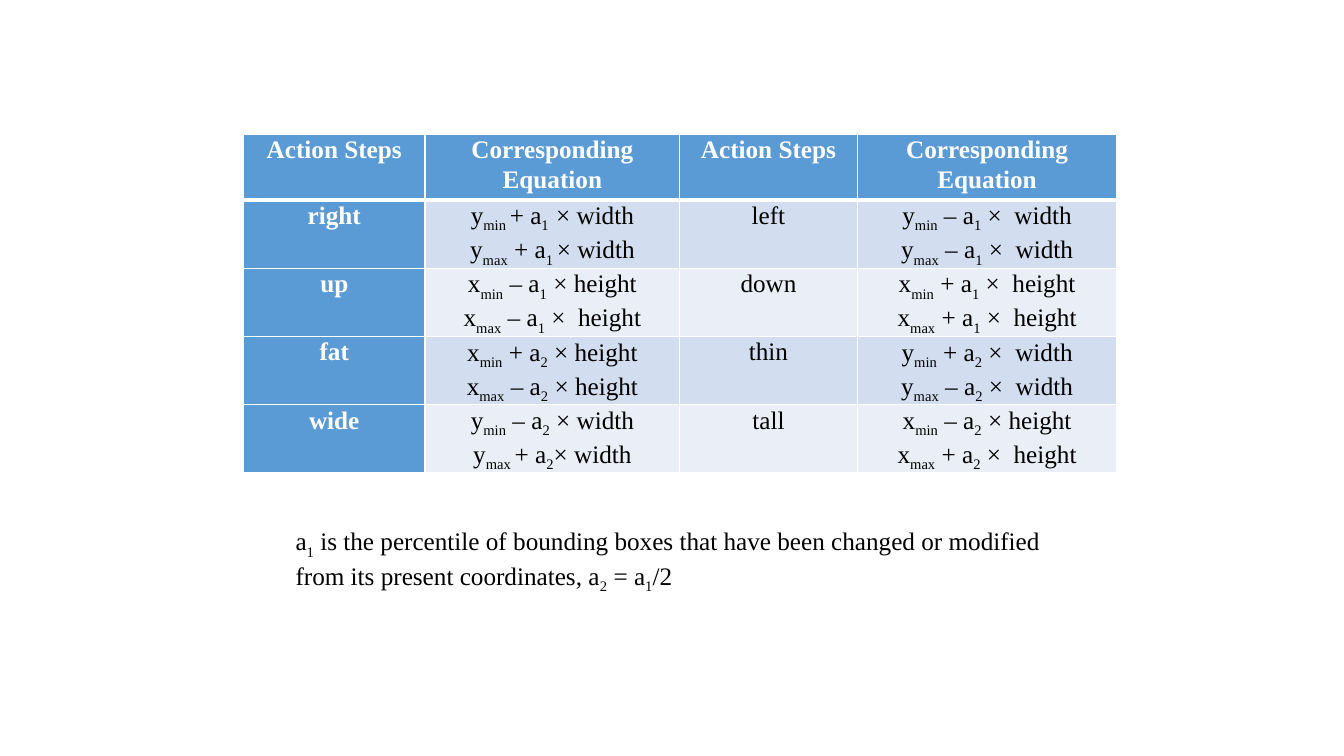
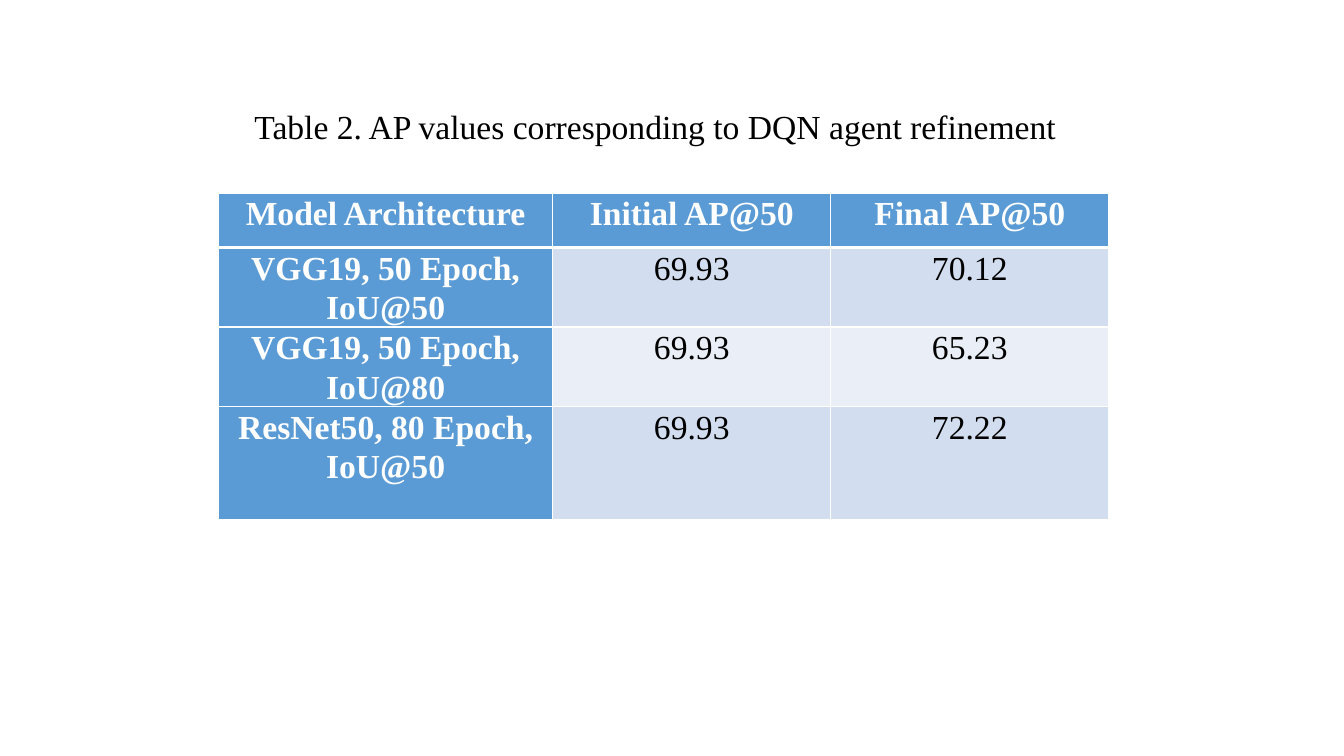
from dataclasses import dataclass

from lxml.etree import SubElement
from pptx import Presentation
from pptx.dml.color import RGBColor as Color
from pptx.enum.text import MSO_ANCHOR as Anchor, MSO_AUTO_SIZE as AutoSize, PP_ALIGN as Align
from pptx.oxml.ns import qn
from pptx.util import Inches, Pt


@dataclass(frozen=True)
class Theme:
    font: str = "Times New Roman"
    header: str = "5B9BD5"
    bands: tuple = ("D2DEEF", "EAEFF7")
    light: str = "FFFFFF"
    dark: str = "000000"
    body_size: int = 18
    large_size: int = 24
    thin: int = 1
    thick: int = 3


theme = Theme()

# The slide is a grid of 160 columns and 90 rows, each a twelfth of an inch
UNIT = Inches(1) // 12
COLUMNS, ROWS = 160, 90


def write_text(text_frame, text, size, color=theme.dark, bold=False,
               align=Align.LEFT, line_spacing=None, space_before=None):
    """Write one paragraph per line; text between bars is subscript."""
    for index, line in enumerate(text.split("\n")):
        paragraph = text_frame.add_paragraph() if index else text_frame.paragraphs[0]
        paragraph.alignment = align
        paragraph.line_spacing = line_spacing
        paragraph.space_before = space_before
        paragraph.font.name = theme.font
        paragraph.font.size = Pt(size)
        paragraph.font.bold = bold
        paragraph.font.color.rgb = Color.from_string(color)
        for part, words in enumerate(line.split("|")):
            run = paragraph.add_run()
            run.text = words
            if part % 2:
                run._r.get_or_add_rPr().set("baseline", "-25000")


def add_banded_table(slide, rows, box, weights, heights, size, space_before=None):
    """Add a table with a coloured header row and first column."""
    left, top, width, height = (UNIT * length for length in box)
    table = slide.shapes.add_table(len(rows), len(weights), left, top, width, height).table
    table.first_col = True
    for column, weight in zip(table.columns, weights):
        column.width = int(width * weight / sum(weights))
    for row, row_height in zip(table.rows, heights):
        row.height = Inches(row_height)

    for row_index, texts in enumerate(rows):
        for column_index, text in enumerate(texts):
            cell = table.cell(row_index, column_index)
            cell.margin_left = cell.margin_right = Inches(0.07)
            cell.margin_top = cell.margin_bottom = 0

            # White rules, thick below the header
            borders = {"L": theme.thin, "R": theme.thin,
                       "T": theme.thick if row_index == 1 else theme.thin,
                       "B": theme.thick if row_index == 0 else theme.thin}
            for side, points in borders.items():
                line = SubElement(cell._tc.get_or_add_tcPr(), qn(f"a:ln{side}"), w=str(Pt(points)))
                SubElement(SubElement(line, qn("a:solidFill")), qn("a:srgbClr"), val=theme.light)

            is_header = row_index == 0 or column_index == 0
            fill = theme.header if is_header else theme.bands[(row_index - 1) % 2]
            cell.fill.solid()
            cell.fill.fore_color.rgb = Color.from_string(fill)
            write_text(cell.text_frame, text, size, theme.light if is_header else theme.dark,
                       is_header, Align.CENTER, 1.07, space_before)


presentation = Presentation()
presentation.slide_width = UNIT * COLUMNS
presentation.slide_height = UNIT * ROWS
title_only, blank = presentation.slide_layouts[5], presentation.slide_layouts[6]

# Slide 1: action steps and their equations
slide = presentation.slides.add_slide(blank)
action_rows = [
    ["Action Steps", "Corresponding Equation"] * 2,
    ["right", "y|min |+ a|1  |× width\ny|max| + a|1 |× width",
     "left", "y|min| – a|1| ×  width\ny|max| – a|1| ×  width"],
    ["up", "x|min| – a|1| × height\nx|max| – a|1| ×  height",
     "down", "x|min| + a|1| ×  height\nx|max| + a|1| ×  height"],
    ["fat", "x|min| + a|2| × height\nx|max| – a|2| × height",
     "thin", "y|min| + a|2| ×  width\ny|max| – a|2| ×  width"],
    ["wide", "y|min| – a|2| × width\ny|max |+ a|2|× width",
     "tall", "x|min| – a|2| × height\nx|max| + a|2| ×  height"],
]
add_banded_table(slide, action_rows, (29, 16, 104, 39), (1.8, 2.53, 1.76, 2.58),
                 [0.65] * len(action_rows), theme.body_size)

# Note under the table
note = slide.shapes.add_textbox(UNIT * 34, UNIT * 62, UNIT * 94, Inches(0.71))
note.text_frame.word_wrap = True
write_text(note.text_frame,
           "a|1| is the percentile of bounding boxes that have been changed or modified "
           "from its present coordinates, a|2| = a|1|/2", theme.body_size)

# Slide 2: AP values before and after refinement
slide = presentation.slides.add_slide(title_only)
title = slide.shapes.title
title.left, title.top, title.width, title.height = (UNIT * n for n in (29, 12, 98, 6))
title.text_frame.auto_size = AutoSize.NONE
title.text_frame.vertical_anchor = Anchor.TOP
write_text(title.text_frame, "Table 2. AP values corresponding to DQN agent refinement",
           theme.large_size, align=Align.CENTER)

precision_rows = [
    ["Model Architecture", "Initial AP@50", "Final AP@50"],
    ["VGG19, 50 Epoch, IoU@50", "69.93", "70.12"],
    ["VGG19, 50 Epoch, IoU@80", "69.93", "65.23"],
    ["ResNet50, 80 Epoch, IoU@50", "69.93", "72.22"],
]
add_banded_table(slide, precision_rows, (26, 23, 106, 40), (3.32, 2.76, 2.76),
                 (0.54, 0.54, 0.54, 1.12), theme.large_size, Pt(12))

presentation.save("out.pptx")
